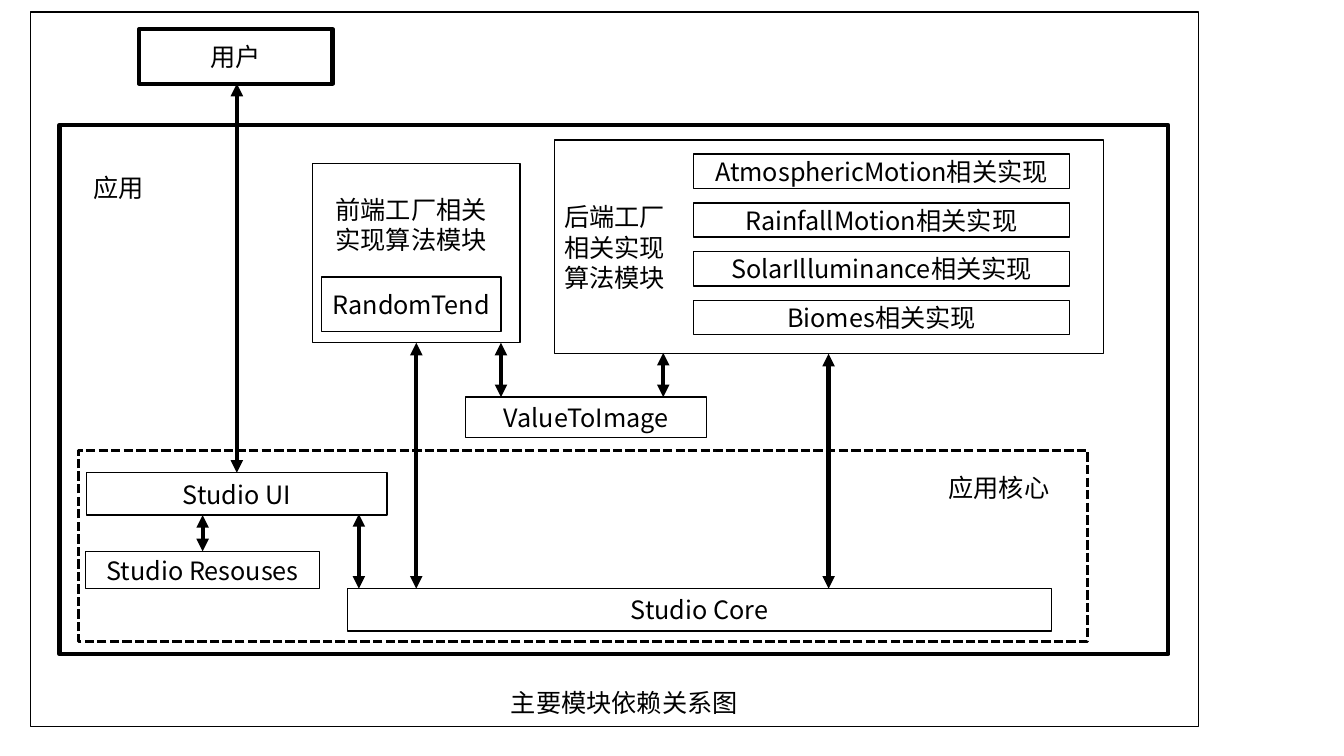
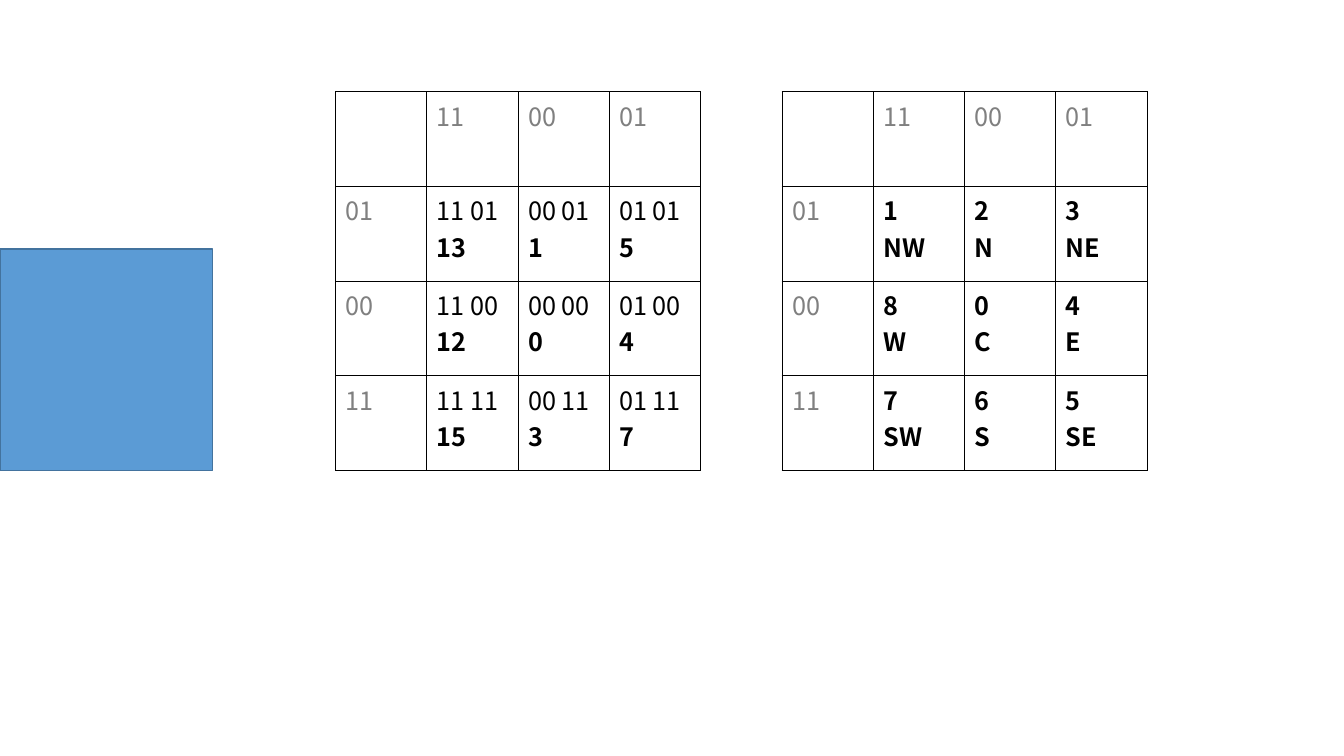
import pptx
import pptx.util
import pptx.dml.color
import pptx.enum.dml
import pptx.enum.shapes
import pptx.enum.text
import pptx.oxml.ns
import lxml.etree

BLACK = pptx.dml.color.RGBColor(0x00, 0x00, 0x00)
WHITE = pptx.dml.color.RGBColor(0xFF, 0xFF, 0xFF)
GRAY = pptx.dml.color.RGBColor(0x80, 0x80, 0x80)
BLUE = pptx.dml.color.RGBColor(0x5B, 0x9B, 0xD5)
DARK_BLUE = pptx.dml.color.RGBColor(0x43, 0x73, 0x9E)

LEFT = pptx.enum.text.PP_ALIGN.LEFT
CENTER = pptx.enum.text.PP_ALIGN.CENTER
QUALIFIED_NAME = pptx.oxml.ns.qn


class Deck:
    font_name = "Noto Sans CJK SC"
    font_size = pptx.util.Pt(18)
    tight_spacing = pptx.util.Pt(21.5)
    thin, thick = 1, 3
    columns, rows = 133.33, 75

    def __init__(self):
        self.presentation = pptx.Presentation()
        self.presentation.slide_width = pptx.util.Inches(13.33)
        self.presentation.slide_height = pptx.util.Inches(7.5)
        self.slide = None

    def new_slide(self):
        self.slide = self.presentation.slides.add_slide(self.presentation.slide_layouts[6])

    def across(self, columns):
        return round(self.presentation.slide_width * columns / self.columns)

    def down(self, rows):
        return round(self.presentation.slide_height * rows / self.rows)

    def place(self, left, top, width, height):
        return self.across(left), self.down(top), self.across(width), self.down(height)

    def add_lines(self, text_frame, lines, align=LEFT, spacing=None):
        for index, (text, color, bold) in enumerate(lines):
            paragraph = text_frame.paragraphs[0] if index == 0 else text_frame.add_paragraph()
            paragraph.alignment = align
            if spacing:
                paragraph.line_spacing = spacing
            run = paragraph.add_run()
            run.text = text
            run.font.name = self.font_name
            run.font.size = self.font_size
            run.font.bold = bold
            run.font.color.rgb = color
            east_asian = lxml.etree.SubElement(run._r.get_or_add_rPr(), QUALIFIED_NAME("a:ea"))
            east_asian.set("typeface", self.font_name)

    def fill_text(self, shape, texts, align, wrap=True):
        text_frame = shape.text_frame
        text_frame.word_wrap = wrap
        text_frame.margin_top = text_frame.margin_bottom = 0
        text_frame.vertical_anchor = pptx.enum.text.MSO_ANCHOR.MIDDLE
        spacing = self.tight_spacing if len(texts) > 1 else None
        self.add_lines(text_frame, [(text, BLACK, False) for text in texts], align, spacing)

    def box(self, area, *texts, width=thin, fill=WHITE, line=BLACK, align=CENTER, dash=None):
        shape = self.slide.shapes.add_shape(
            pptx.enum.shapes.MSO_SHAPE.RECTANGLE, *self.place(*area))
        shape.shadow.inherit = False
        if fill is None:
            shape.fill.background()
        else:
            shape.fill.solid()
            shape.fill.fore_color.rgb = fill
        if line is None:
            shape.line.fill.background()
        else:
            shape.line.color.rgb = line
            shape.line.width = pptx.util.Pt(width)
            if dash:
                shape.line.dash_style = dash
        if texts:
            self.fill_text(shape, texts, align)

    def label(self, area, *texts, wrap=True):
        self.fill_text(self.slide.shapes.add_textbox(*self.place(*area)), texts, LEFT, wrap)

    def double_arrow(self, column, top, bottom):
        connector = self.slide.shapes.add_connector(
            pptx.enum.shapes.MSO_CONNECTOR.STRAIGHT,
            self.across(column), self.down(top), self.across(column), self.down(bottom))
        connector.line.color.rgb = BLACK
        connector.line.width = pptx.util.Pt(self.thick)
        line = connector.line._get_or_add_ln()
        for end in ("a:headEnd", "a:tailEnd"):
            lxml.etree.SubElement(line, QUALIFIED_NAME(end)).set("type", "triangle")
        lxml.etree.SubElement(connector._element.spPr, QUALIFIED_NAME("a:effectLst"))

    def border(self, cell):
        properties = cell._tc.get_or_add_tcPr()
        for index, side in enumerate(("a:lnL", "a:lnR", "a:lnT", "a:lnB")):
            line = lxml.etree.Element(QUALIFIED_NAME(side), w=str(pptx.util.Pt(self.thin)))
            solid = lxml.etree.SubElement(line, QUALIFIED_NAME("a:solidFill"))
            lxml.etree.SubElement(solid, QUALIFIED_NAME("a:srgbClr")).set("val", str(BLACK))
            properties.insert(index, line)

    def table(self, area, cells):
        table = self.slide.shapes.add_table(
            len(cells), len(cells[0]), *self.place(*area)).table
        table.first_row = table.horz_banding = False
        for row_index, row in enumerate(cells):
            for column_index, lines in enumerate(row):
                cell = table.cell(row_index, column_index)
                cell.fill.background()
                self.border(cell)
                self.add_lines(cell.text_frame, lines)

    def direction_table(self, left, content):
        column_codes, row_codes = ("11", "00", "01"), ("01", "00", "11")
        cells = [[[]] + [[(code, GRAY, False)] for code in column_codes]]
        for row_index, row_code in enumerate(row_codes):
            cells.append([[(row_code, GRAY, False)]] + [
                content(row_index, column_index, column_code, row_code)
                for column_index, column_code in enumerate(column_codes)])
        self.table((left, 9.1, 36.2, 37.6), cells)


def binary_cell(row_index, column_index, column_code, row_code):
    return [(f"{column_code} {row_code}", BLACK, False),
            (str(int(column_code + row_code, 2)), BLACK, True)]


COMPASS = (("1 NW", "2 N", "3 NE"), ("8 W", "0 C", "4 E"), ("7 SW", "6 S", "5 SE"))


def compass_cell(row_index, column_index, column_code, row_code):
    return [(text, BLACK, True) for text in COMPASS[row_index][column_index].split()]


def build_module_slide(deck):
    deck.new_slide()
    deck.box((5.9, 12.4, 110, 52.5), width=deck.thick)
    deck.box((7.8, 44.7, 100.1, 18.9), width=2.25,
             dash=pptx.enum.dml.MSO_LINE.SQUARE_DOT)
    deck.box((34.5, 58.4, 69.8, 4.2), "Studio Core")
    deck.box((8.6, 46.9, 29.8, 4.2), "Studio UI")
    deck.box((8.5, 54.7, 23.2, 3.7), "Studio Resouses")
    deck.box((92.6, 46.3, 13, 4.2), "应用核心", line=None)
    deck.box((7.8, 16.5, 7.9, 4.2), "应用", line=None)
    deck.box((13.8, 2.9, 19.2, 5.4), "用户", width=deck.thick)
    deck.box((31, 16.2, 20.6, 17.8))
    deck.label((32.3, 18.7, 17.2, 7.1), "前端工厂相关", "实现算法模块")
    deck.box((31.9, 27.5, 17.8, 5.4), "RandomTend")
    deck.box((46.2, 39.4, 23.9, 4), "ValueToImage")
    deck.box((55, 13.9, 54.5, 21.2), "后端工厂", "相关实现", "算法模块", align=LEFT)
    modules = ("AtmosphericMotion", "RainfallMotion", "SolarIlluminance", "Biomes")
    for index, module in enumerate(modules):
        deck.box((68.8, 15.3 + 4.83 * index, 37.3, 3.4), f"{module}相关实现")
    for column, top, bottom in (
            (82.2, 35.1, 58.4), (41.3, 34, 58.4), (23.5, 8.3, 46.9), (20.1, 51.1, 54.7),
            (35.6, 51, 58.4), (49.7, 34, 39.4), (65.8, 35, 39.4)):
        deck.double_arrow(column, top, bottom)
    deck.box((3, 1.2, 115.9, 70.9), fill=None)
    deck.label((49.7, 67.7, 24.7, 4), "主要模块依赖关系图", wrap=False)


def build_direction_slide(deck):
    deck.new_slide()
    deck.box((0, 24.7, 21.1, 22), fill=BLUE, line=DARK_BLUE)
    deck.direction_table(33.3, binary_cell)
    deck.direction_table(77.6, compass_cell)


deck = Deck()
build_module_slide(deck)
build_direction_slide(deck)
deck.presentation.save("out.pptx")
